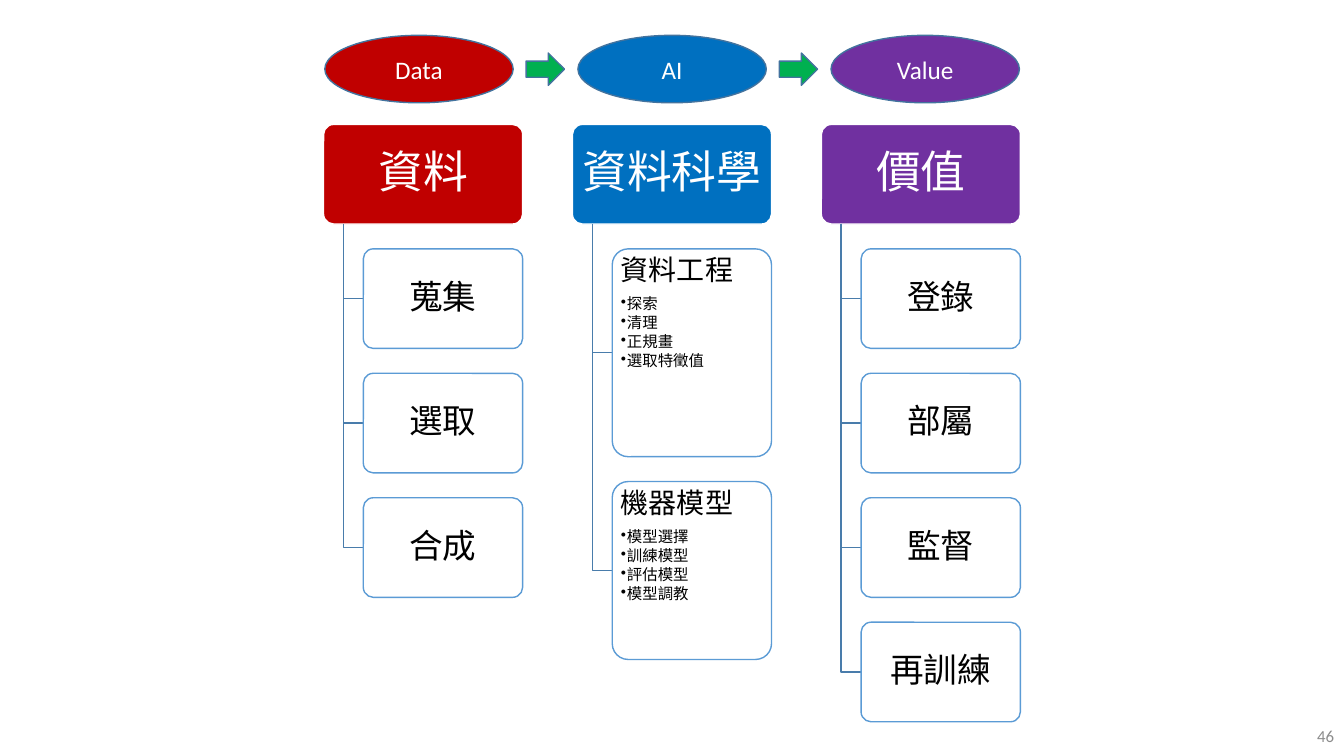
from dataclasses import dataclass

from lxml.etree import SubElement
from pptx import Presentation
from pptx.dml.color import RGBColor
from pptx.enum.shapes import MSO_AUTO_SHAPE_TYPE as Preset
from pptx.enum.text import MSO_ANCHOR as Anchor, PP_ALIGN as Align
from pptx.oxml.ns import qn
from pptx.shapes.autoshape import Shape
from pptx.slide import Slide
from pptx.text.text import TextFrame
from pptx.util import Inches, Pt

SLIDE_WIDTH, SLIDE_HEIGHT = Inches(13.333), Inches(7.5)
GRID_COLUMNS = 54


@dataclass(frozen=True)
class Theme:
    latin: str = "Calibri"
    chinese: str = "Noto Sans CJK SC"
    red: str = "C00000"
    blue: str = "0070C0"
    purple: str = "7030A0"
    green: str = "00B050"
    white: str = "FFFFFF"
    black: str = "000000"
    gray: str = "8C8C8C"
    stage_line: str = "43739E"
    card_line: str = "5B9BD5"
    branch_line: str = "497CAB"
    header_size: int = 32
    card_size: int = 24
    topic_size: int = 20
    stage_size: int = 18
    number_size: int = 12
    bullet_size: int = 11


@dataclass(frozen=True)
class Box:
    left: float
    top: float
    width: float
    height: float

    def lengths(self) -> tuple[int, ...]:
        return tuple(cells(n) for n in (self.left, self.top, self.width, self.height))


@dataclass(frozen=True)
class Card:
    title: str
    height: float = 4
    bullets: tuple[str, ...] = ()


@dataclass(frozen=True)
class Column:
    stage: str
    header: str
    color: str
    cards: tuple[Card, ...]


THEME = Theme()
FIRST_COLUMN, COLUMN_PITCH = 13, 10
HEADER_TOP, HEADER_HEIGHT, ROW_GAP = 5, 4, 1
TRUNK_INDENT, CARD_INDENT = 0.8, 1.6
STAGE_LEFT, STAGE_PITCH = 13.05, 10.17
ARROW_LEFT, ARROW_TOP = 21.14, 2.13

COLUMNS = (
    Column("Data", "資料", THEME.red, (Card("蒐集"), Card("選取"), Card("合成"))),
    Column("AI", "資料科學", THEME.blue, (
        Card("資料工程", 8.35, ("探索", "清理", "正規畫", "選取特徵值")),
        Card("機器模型", 7.15, ("模型選擇", "訓練模型", "評估模型", "模型調教")),
    )),
    Column("Value", "價值", THEME.purple,
           (Card("登錄"), Card("部屬"), Card("監督"), Card("再訓練"))),
)


def cells(count: float) -> int:
    return round(SLIDE_WIDTH * count / GRID_COLUMNS)


def color(value: str) -> RGBColor:
    return RGBColor.from_string(value)


def add_shape(slide: Slide, preset: Preset, box: Box, fill: str, line: str) -> Shape:
    shape = slide.shapes.add_shape(preset, *box.lengths())
    shape.shadow.inherit = False
    shape.fill.solid()
    shape.fill.fore_color.rgb = color(fill)
    shape.line.color.rgb = color(line)
    shape.line.width = Pt(1)
    return shape


def add_rounded(slide: Slide, box: Box, fill: str, line: str) -> Shape:
    shape = add_shape(slide, Preset.ROUNDED_RECTANGLE, box, fill, line)
    shape.adjustments[0] = 0.1
    return shape


def set_frame(frame: TextFrame, horizontal: float, vertical: float,
              anchor: Anchor, wrap: bool) -> None:
    frame.margin_left = frame.margin_right = Inches(horizontal)
    frame.margin_top = frame.margin_bottom = Inches(vertical)
    frame.vertical_anchor = anchor
    frame.word_wrap = wrap


def write(frame: TextFrame, text: str, size: int, ink: str, font: str,
          align: Align = Align.CENTER) -> None:
    paragraph = frame.paragraphs[0]
    paragraph.alignment = align
    if font == THEME.chinese:
        paragraph.line_spacing = 0.9
    add_run(paragraph, text, size, ink, font)


def add_run(paragraph, text: str, size: int, ink: str, font: str) -> None:
    run = paragraph.add_run()
    run.text = text
    run.font.name = font
    run.font.size = Pt(size)
    run.font.color.rgb = color(ink)


def add_bullet(frame: TextFrame, text: str) -> None:
    paragraph = frame.add_paragraph()
    paragraph.level = 1
    properties = paragraph._p.get_or_add_pPr()
    properties.set("marL", str(Inches(0.06)))
    properties.set("indent", str(-Inches(0.06)))
    SubElement(properties, qn("a:buChar")).set("char", "•")
    paragraph.alignment = Align.LEFT
    paragraph.line_spacing = 0.9
    paragraph.space_after = Pt(THEME.bullet_size * 0.15)
    add_run(paragraph, text, THEME.bullet_size, THEME.black, THEME.chinese)


def add_branch(slide: Slide, left: float, middle: float) -> None:
    trunk = cells(left + TRUNK_INDENT)
    builder = slide.shapes.build_freeform(trunk, cells(HEADER_TOP + HEADER_HEIGHT))
    builder.add_line_segments(
        [(trunk, cells(middle)), (cells(left + CARD_INDENT), cells(middle))], close=False)
    branch = builder.convert_to_shape()
    branch.shadow.inherit = False
    branch.fill.background()
    branch.line.color.rgb = color(THEME.branch_line)
    branch.line.width = Pt(1)


def add_card(slide: Slide, card: Card, box: Box) -> None:
    shape = add_rounded(slide, box, THEME.white, THEME.card_line)
    fill_color = shape.fill._xPr.find(qn("a:solidFill"))[0]
    SubElement(fill_color, qn("a:alpha")).set("val", "90000")
    frame = shape.text_frame
    if not card.bullets:
        set_frame(frame, 0.05, 0.03, Anchor.MIDDLE, False)
        write(frame, card.title, THEME.card_size, THEME.black, THEME.chinese)
        return
    set_frame(frame, 0.04, 0.03, Anchor.TOP, True)
    write(frame, card.title, THEME.topic_size, THEME.black, THEME.chinese, Align.LEFT)
    frame.paragraphs[0].space_after = Pt(THEME.topic_size * 0.35)
    for bullet in card.bullets:
        add_bullet(frame, bullet)


def add_column(slide: Slide, column: Column, left: float) -> None:
    header = add_rounded(slide, Box(left, HEADER_TOP, 8, HEADER_HEIGHT),
                         column.color, THEME.white)
    set_frame(header.text_frame, 0.07, 0.04, Anchor.MIDDLE, False)
    write(header.text_frame, column.header, THEME.header_size, THEME.white, THEME.chinese)
    top = HEADER_TOP + HEADER_HEIGHT + ROW_GAP
    for card in column.cards:
        add_branch(slide, left, top + card.height / 2)
        add_card(slide, card, Box(left + CARD_INDENT, top, 6.4, card.height))
        top += card.height + ROW_GAP


def add_stage(slide: Slide, column: Column, left: float) -> None:
    stage = add_shape(slide, Preset.OVAL, Box(left, 1.42, 7.57, 2.71),
                      column.color, THEME.stage_line)
    set_frame(stage.text_frame, 0.1, 0.05, Anchor.MIDDLE, True)
    write(stage.text_frame, column.stage, THEME.stage_size, THEME.white, THEME.latin)


def add_slide_number(slide: Slide, number: str) -> None:
    frame = slide.shapes.add_textbox(*Box(41.85, 28.75, 12.15, 1.62).lengths()).text_frame
    set_frame(frame, 0.1, 0.05, Anchor.MIDDLE, True)
    write(frame, number, THEME.number_size, THEME.gray, THEME.latin, Align.RIGHT)


def main() -> None:
    presentation = Presentation()
    presentation.slide_width, presentation.slide_height = SLIDE_WIDTH, SLIDE_HEIGHT
    slide = presentation.slides.add_slide(presentation.slide_layouts[6])
    add_slide_number(slide, "46")
    for index, column in enumerate(COLUMNS):
        add_column(slide, column, FIRST_COLUMN + index * COLUMN_PITCH)
        add_stage(slide, column, STAGE_LEFT + index * STAGE_PITCH)
    for index in range(len(COLUMNS) - 1):
        add_shape(slide, Preset.RIGHT_ARROW,
                  Box(ARROW_LEFT + index * STAGE_PITCH, ARROW_TOP, 1.54, 1.3),
                  THEME.green, THEME.stage_line)
    presentation.save("out.pptx")


if __name__ == "__main__":
    main()
